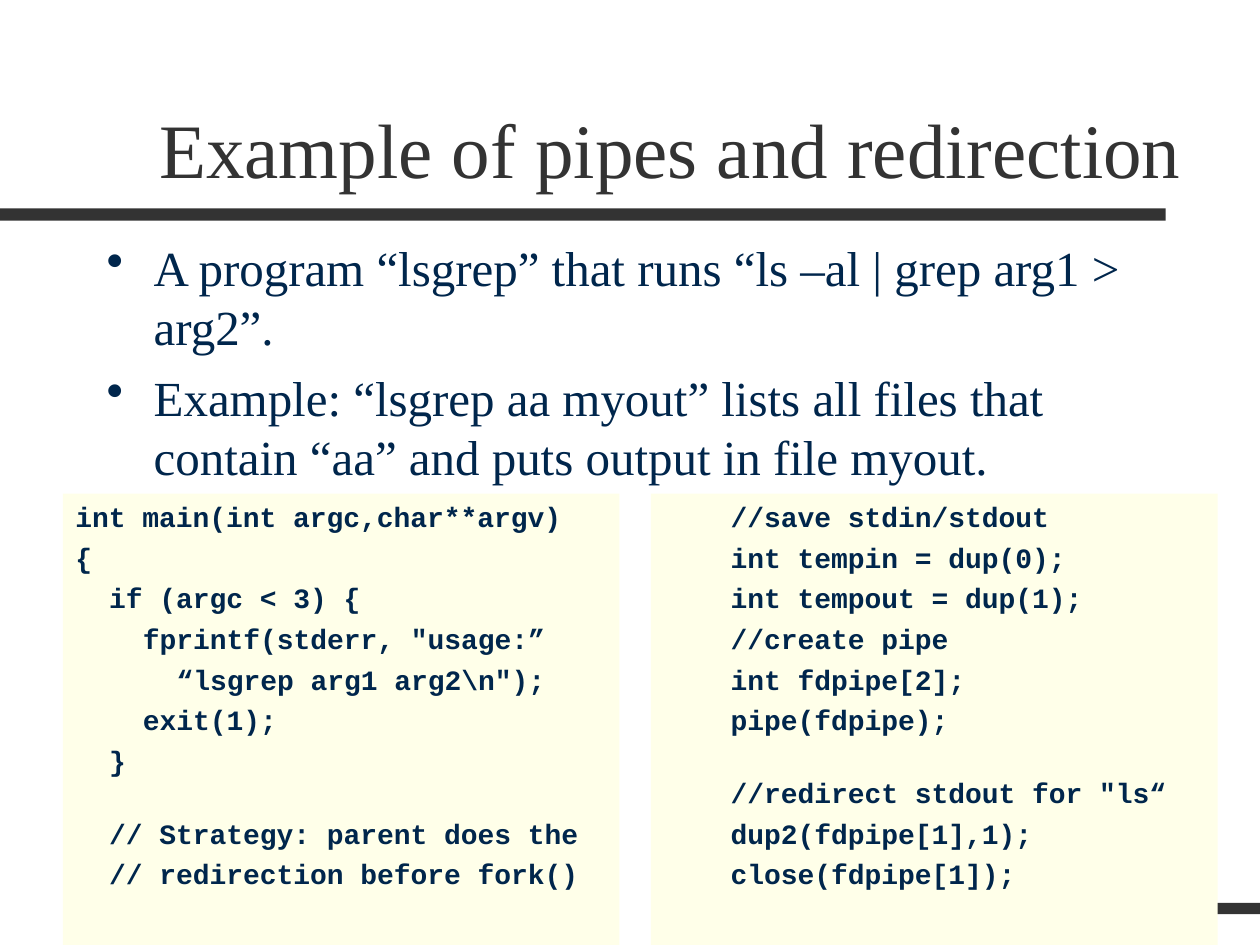
from lxml import etree
from pptx import Presentation
from pptx.dml.color import RGBColor
from pptx.enum.shapes import MSO_SHAPE as SHAPE
from pptx.enum.text import MSO_ANCHOR as ANCHOR, PP_ALIGN as ALIGN
from pptx.oxml.ns import qn
from pptx.util import Cm, Pt

GREY, NAVY, CREAM = "333333", "00264C", "FFFFE9"
SERIF, MONO = "Times New Roman", "Courier New"
CODE_STEP = 0.68
CODE_LINE = 18.5

BULLETS = [
    "A program “lsgrep” that runs “ls –al | grep arg1 > arg2”.",
    "Example: “lsgrep aa myout” lists all files that contain “aa” "
    "and puts output in file myout.",
]
MAIN_CODE = [
    (0, "int main(int argc,char**argv)"),
    (0, "{"),
    (1, "if (argc < 3) {"),
    (2, "fprintf(stderr, \"usage:”"),
    (3, "“lsgrep arg1 arg2\\n\");"),
    (2, "exit(1);"),
    (1, "}"),
    (1, "// Strategy: parent does the"),
    (1, "// redirection before fork()"),
]
PIPE_CODE = [
    (2, "//save stdin/stdout"),
    (2, "int tempin = dup(0);"),
    (2, "int tempout = dup(1);"),
    (2, "//create pipe"),
    (2, "int fdpipe[2];"),
    (2, "pipe(fdpipe);"),
    (2, "//redirect stdout for \"ls“"),
    (2, "dup2(fdpipe[1],1);"),
    (2, "close(fdpipe[1]);"),
]


def color(value):
    """Turn a hex string into a colour."""
    return RGBColor.from_string(value)


def add_rect(s, box, fill):
    """Add a plain filled rectangle."""
    sp = s.shapes.add_shape(SHAPE.RECTANGLE, *map(Cm, box))
    sp.shadow.inherit = False
    sp.fill.solid()
    sp.fill.fore_color.rgb = color(fill)
    sp.line.fill.background()
    return sp


def add_text(s, box):
    """Add a wrapping text box and return its text frame."""
    tf = s.shapes.add_textbox(*map(Cm, box)).text_frame
    tf.word_wrap = True
    return tf


def add_paragraph(tf, index, text, font, size, fill, bold=False):
    """Write one left-aligned paragraph of a single run."""
    p = tf.add_paragraph() if index else tf.paragraphs[0]
    p.alignment = ALIGN.LEFT
    r = p.add_run()
    r.text = text
    r.font.name, r.font.size, r.font.bold = font, Pt(size), bold
    r.font.color.rgb = color(fill)
    return p


def set_indent(p, left, first=0):
    """Set the left margin and first-line indent of a paragraph."""
    pPr = p._p.get_or_add_pPr()
    pPr.set("marL", str(Cm(left)))
    pPr.set("indent", str(Cm(first)))
    return pPr


def add_title(s, box, text):
    """Place the title at the bottom of its box."""
    tf = add_text(s, box)
    tf.vertical_anchor = ANCHOR.BOTTOM
    add_paragraph(tf, 0, text, SERIF, 44, GREY)


def add_bullets(s, box, items):
    """Place the bulleted list."""
    tf = add_text(s, box)
    for i, text in enumerate(items):
        p = add_paragraph(tf, i, text, SERIF, 28, NAVY)
        p.space_before = Pt(7)
        pPr = set_indent(p, 0.95, -0.95)
        etree.SubElement(pPr, qn("a:buChar")).set("char", "•")


def add_code(s, box, lines, gap_before):
    """Place a code panel with a one-line gap before the given line."""
    tf = add_rect(s, box, CREAM).text_frame
    tf.word_wrap = True
    tf.vertical_anchor = ANCHOR.TOP
    for i, (level, text) in enumerate(lines):
        p = add_paragraph(tf, i, text, MONO, 16, NAVY, True)
        p.space_before = Pt(4 + CODE_LINE if i == gap_before else 4)
        set_indent(p, level * CODE_STEP)


def main():
    """Build and save the slide."""
    prs = Presentation()
    prs.slide_width, prs.slide_height = Cm(25.4), Cm(19.05)
    s = prs.slides.add_slide(prs.slide_layouts[6])
    add_rect(s, (0, 4.2, 23.5, 0.25), GREY)
    add_rect(s, (19.63, 18.2, 5.77, 0.23), GREY)
    add_title(s, (2.96, 0.85, 21.59, 3.18), "Example of pipes and redirection")
    add_bullets(s, (1.9, 4.66, 22.44, 12.28), BULLETS)
    add_code(s, (1.27, 9.95, 11.22, 9.1), MAIN_CODE, 7)
    add_code(s, (13.12, 9.95, 11.43, 9.1), PIPE_CODE, 6)
    prs.save("out.pptx")


if __name__ == "__main__":
    main()
